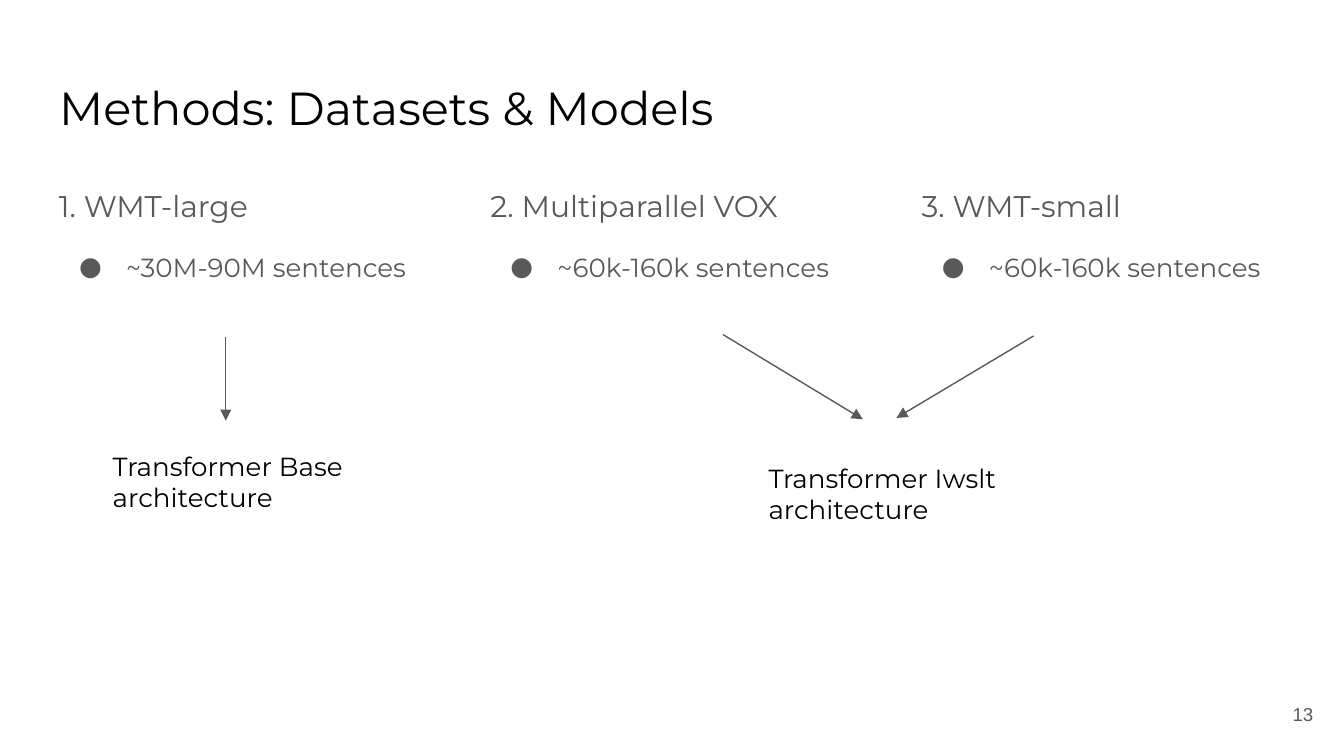
"""Build the slide on datasets and the models trained on them."""
from dataclasses import dataclass
from typing import Any, Optional

from lxml import etree
from pptx import Presentation
from pptx import util as u
from pptx.dml.color import RGBColor
from pptx.enum import shapes, text
from pptx.oxml.ns import qn


@dataclass(frozen=True)
class Theme:
    font: str = "Montserrat"
    number_font: str = "Arial"
    black: RGBColor = RGBColor(0, 0, 0)
    grey: RGBColor = RGBColor(0x59, 0x59, 0x59)
    title_size: float = 24.8
    heading_size: float = 16
    body_size: float = 14
    number_size: float = 10
    line_width: float = 0.75
    inset: float = 0.1


@dataclass(frozen=True)
class Dataset:
    name: str
    amount: str
    height: float = 1.03


@dataclass(frozen=True)
class Model:
    name: str
    left: float
    top: float


@dataclass(frozen=True)
class Arrow:
    start: tuple[float, float]
    end: tuple[float, float]


THEME = Theme()
MARGIN, COLUMN_TOP, COLUMN_WIDTH, COLUMN_STEP = 0.34, 1.26, 2.9, 3.21

DATASETS = [
    Dataset("WMT-large", "~30M-90M sentences"),
    Dataset("Multiparallel VOX", "~60k-160k sentences"),
    Dataset("WMT-small", "~60k-160k sentences", height=1.08),
]
MODELS = [
    Model("Transformer Base architecture", 0.74, 3.25),
    Model("Transformer Iwslt architecture", 5.62, 3.34),
]
ARROWS = [
    Arrow((1.68, 2.51), (1.68, 3.13)),
    Arrow((5.38, 2.49), (6.42, 3.12)),
    Arrow((7.69, 2.5), (6.67, 3.11)),
]


def place(box: Any, left: float, top: float, width: float, height: float,
          anchor: text.MSO_ANCHOR = text.MSO_ANCHOR.TOP) -> Any:
    """Position a text shape, set its insets and return its text frame."""
    box.left, box.top = u.Inches(left), u.Inches(top)
    box.width, box.height = u.Inches(width), u.Inches(height)
    frame = box.text_frame
    frame.word_wrap = True
    frame.auto_size = text.MSO_AUTO_SIZE.NONE
    frame.vertical_anchor = anchor
    frame.margin_left = frame.margin_right = u.Inches(THEME.inset)
    frame.margin_top = frame.margin_bottom = u.Inches(THEME.inset)
    return frame


def add_box(page: Any, left: float, top: float, width: float, height: float,
            anchor: text.MSO_ANCHOR = text.MSO_ANCHOR.TOP) -> Any:
    """Add a text box and return its text frame."""
    box = page.shapes.add_textbox(0, 0, 0, 0)
    return place(box, left, top, width, height, anchor)


def write(para: Any, words: str, *, size: float, color: RGBColor = THEME.black,
          font: str = THEME.font, align: text.PP_ALIGN = text.PP_ALIGN.LEFT,
          spacing: Optional[float] = None, before: float = 0) -> None:
    """Write formatted text into a paragraph."""
    para.alignment = align
    para.space_before = u.Pt(before)
    if spacing:
        para.line_spacing = spacing
    span = para.add_run()
    span.text = words
    span.font.name = font
    span.font.size = u.Pt(size)
    span.font.color.rgb = color


def add_bullet(para: Any, color: RGBColor) -> None:
    """Give a paragraph a hanging round bullet."""
    properties = para._p.get_or_add_pPr()
    properties.set("marL", str(u.Inches(0.5)))
    properties.set("indent", str(u.Inches(-0.35)))
    paint = etree.SubElement(properties, qn("a:buClr"))
    etree.SubElement(paint, qn("a:srgbClr"), val=str(color))
    etree.SubElement(properties, qn("a:buFont"), typeface=THEME.font)
    etree.SubElement(properties, qn("a:buChar"), char="●")


def draw_dataset(page: Any, index: int, dataset: Dataset) -> None:
    """Draw one numbered dataset column."""
    left = MARGIN + index * COLUMN_STEP
    frame = add_box(page, left, COLUMN_TOP, COLUMN_WIDTH, dataset.height)
    write(frame.paragraphs[0], f"{index + 1}. {dataset.name}",
          size=THEME.heading_size, color=THEME.grey, spacing=1.15)
    para = frame.add_paragraph()
    write(para, dataset.amount, size=THEME.body_size, color=THEME.grey,
          spacing=1.15, before=12)
    add_bullet(para, THEME.grey)


def draw_model(page: Any, model: Model) -> None:
    """Draw one model label."""
    frame = add_box(page, model.left, model.top, 1.99, 0.33)
    write(frame.paragraphs[0], model.name, size=THEME.body_size)


def draw_arrow(page: Any, arrow: Arrow) -> None:
    """Draw one straight arrow from a dataset towards its model."""
    ends = [u.Inches(value) for value in (*arrow.start, *arrow.end)]
    line = page.shapes.add_connector(shapes.MSO_CONNECTOR.STRAIGHT, *ends)
    line.line.color.rgb = THEME.grey
    line.line.width = u.Pt(THEME.line_width)
    etree.SubElement(line.line._get_or_add_ln(), qn("a:tailEnd"),
                     type="triangle", w="med", len="med")
    etree.SubElement(line._element.spPr, qn("a:effectLst"))


def main() -> None:
    """Build and save the deck."""
    deck = Presentation()
    deck.slide_width, deck.slide_height = u.Inches(10), u.Inches(10 * 9 / 16)
    page = deck.slides.add_slide(deck.slide_layouts.get_by_name("Title Only"))

    title = place(page.shapes.title, MARGIN, 0.49, 9.32, 0.63)
    write(title.paragraphs[0], "Methods: Datasets & Models", size=THEME.title_size)

    for index, dataset in enumerate(DATASETS):
        draw_dataset(page, index, dataset)
    for arrow in ARROWS:
        draw_arrow(page, arrow)
    for model in MODELS:
        draw_model(page, model)

    number = add_box(page, 9.27, 5.1, 0.6, 0.43, text.MSO_ANCHOR.MIDDLE)
    write(number.paragraphs[0], "13", size=THEME.number_size, color=THEME.grey,
          font=THEME.number_font, align=text.PP_ALIGN.RIGHT)

    deck.save("out.pptx")


if __name__ == "__main__":
    main()
